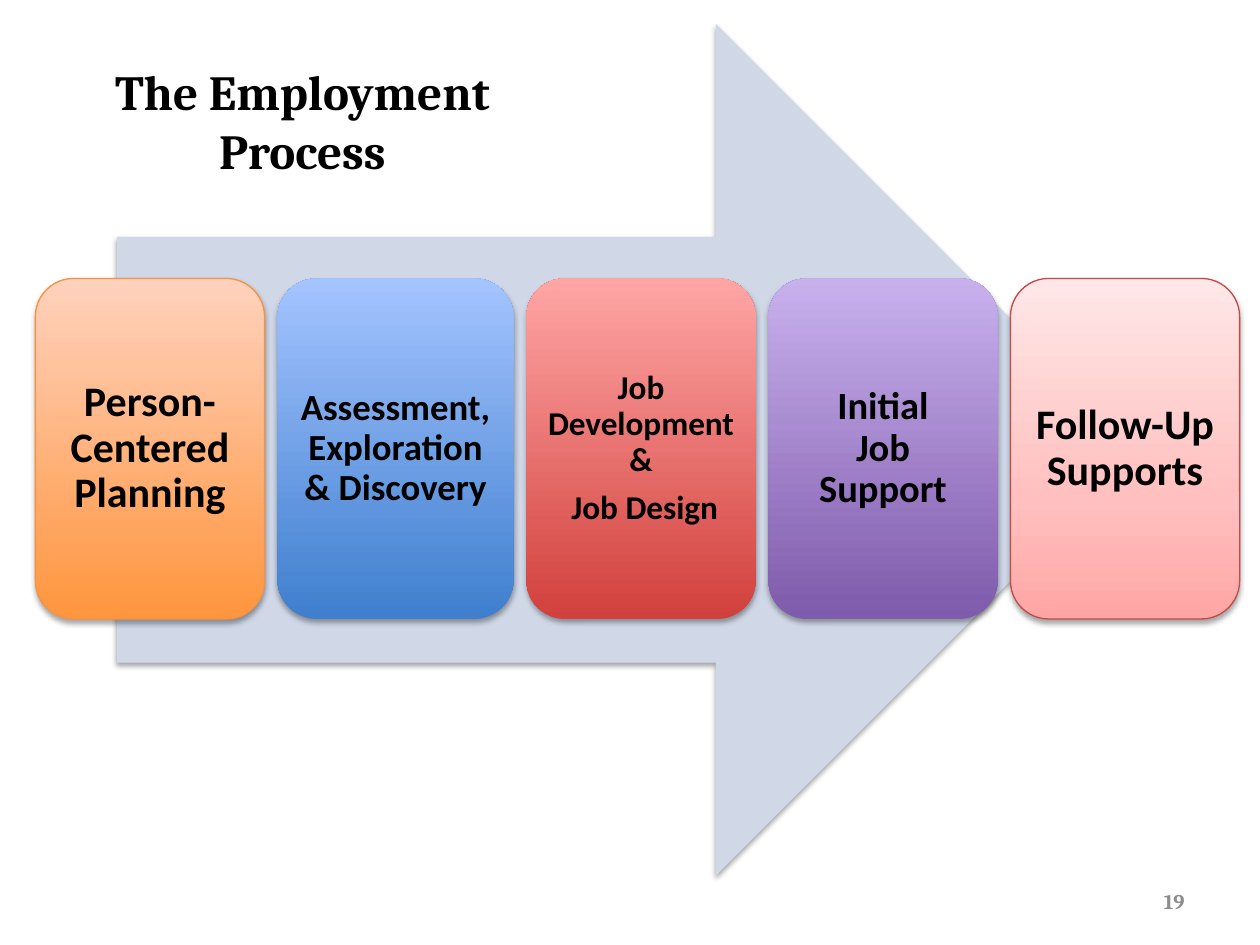
from copy import deepcopy
from pptx import Presentation
from pptx import util as u
from pptx.dml.color import RGBColor
from pptx.enum import shapes, text
from pptx.oxml import parse_xml
from pptx.oxml.ns import nsdecls, qn

GAP = 7.3
STEPS = [
    (131, 24, 7.2, ["Person-Centered Planning"],
     [(0, "FF953E"), (100, "FFD2BD")], "F69240"),
    (135, 21, 6.3, ["Assessment, Exploration & Discovery"],
     [(0, "3F7FCE"), (100, "A4C4FF")], None),
    (131, 19, 5.7, ["Job Development &", " Job Design"],
     [(0, "D1403C"), (100, "FFA6A5")], None),
    (131, 22, 6.6, ["Initial\vJob Support"],
     [(0, "7F5BAB"), (100, "C8B0ED")], None),
    (131, 24, 7.2, ["Follow-Up Supports"],
     [(0, "FFA6A5"), (35, "FFC0BF"), (100, "FFE7E7")], "BF4C48"),
]


def paint(color, tone):
    """Set a colour from a hex string."""
    color.rgb = RGBColor.from_string(tone)


def write(par, words, font, size, tone, align):
    """Add bold runs to a paragraph, with a line break between them."""
    par.alignment = align
    for i, part in enumerate(words.split("\v")):
        if i:
            par.add_line_break()
        run = par.add_run()
        run.text = part
        run.font.name, run.font.size, run.font.bold = font, u.Pt(size), True
        paint(run.font.color, tone)


def label(slide, box, words, size, tone, align, anchor):
    """Add a one-paragraph text box."""
    frame = slide.shapes.add_textbox(*map(u.Pt, box)).text_frame
    frame.word_wrap = True
    frame.vertical_anchor = anchor
    write(frame.paragraphs[0], words, "Cambria", size, tone, align)


def shade(shape):
    """Give a shape a soft shadow straight below it."""
    shape.shadow.inherit = False
    glow = shape._element.spPr.find(qn("a:effectLst"))
    glow.append(parse_xml(
        f'<a:outerShdw {nsdecls("a")} blurRad="{u.Pt(3.1)}" dist="{u.Pt(1.8)}" '
        'dir="5400000" rotWithShape="0"><a:srgbClr val="000000">'
        '<a:alpha val="35000"/></a:srgbClr></a:outerShdw>'))


def blend(shape, stops):
    """Fill a shape with a gradient that runs from bottom to top."""
    shape.fill.gradient()
    shape.fill.gradient_angle = 90
    rack = shape._element.spPr.find(qn("a:gradFill")).find(qn("a:gsLst"))
    first = rack[0]
    for old in list(rack):
        rack.remove(old)
    for _ in stops:
        rack.append(deepcopy(first))
    for stop, (place, tone) in zip(shape.fill.gradient_stops, stops):
        stop.position = place / 100
        paint(stop.color, tone)


def arrow(slide):
    """Add the wide arrow behind the steps."""
    shape = slide.shapes.add_shape(
        shapes.MSO_SHAPE.RIGHT_ARROW, *map(u.Pt, (67, 13.7, 585.4, 486.7)))
    shape.fill.solid()
    paint(shape.fill.fore_color, "D0D8E8")
    shape.line.fill.background()
    shade(shape)


def step(slide, left, width, size, inset, lines, stops, edge):
    """Add one rounded step with its caption."""
    shape = slide.shapes.add_shape(
        shapes.MSO_SHAPE.ROUNDED_RECTANGLE, *map(u.Pt, (left, 159.1, width, 194.6)))
    blend(shape, stops)
    if edge:
        paint(shape.line.color, edge)
        shape.line.width = u.Pt(0.75)
    else:
        shape.line.fill.background()
    shade(shape)
    frame = shape.text_frame
    frame.word_wrap = True
    frame.vertical_anchor = text.MSO_ANCHOR.MIDDLE
    frame.margin_left = frame.margin_right = u.Pt(inset)
    frame.margin_top = frame.margin_bottom = u.Pt(inset)
    for i, words in enumerate(lines):
        par = frame.add_paragraph() if i else frame.paragraphs[0]
        par.line_spacing = 0.9
        par.space_after = u.Pt(round(size * 0.35, 1))
        write(par, words, "Calibri", size, "000000", text.PP_ALIGN.CENTER)


def main():
    """Build the slide and save it."""
    deck = Presentation()
    deck.slide_width, deck.slide_height = u.Pt(720), u.Pt(540)
    slide = deck.slides.add_slide(deck.slide_layouts[6])
    label(slide, (10.8, 31.7, 324, 31.7 + 9.3), "The Employment Process", 28,
          "000000", text.PP_ALIGN.CENTER, text.MSO_ANCHOR.TOP)
    arrow(slide)
    left = 20.2
    for width, *rest in STEPS:
        step(slide, left, width, *rest)
        left += width + GAP
    label(slide, (516, 500.4, 168, 28.8), "19", 12,
          "8C8C8C", text.PP_ALIGN.RIGHT, text.MSO_ANCHOR.MIDDLE)
    deck.save("out.pptx")


if __name__ == "__main__":
    main()
